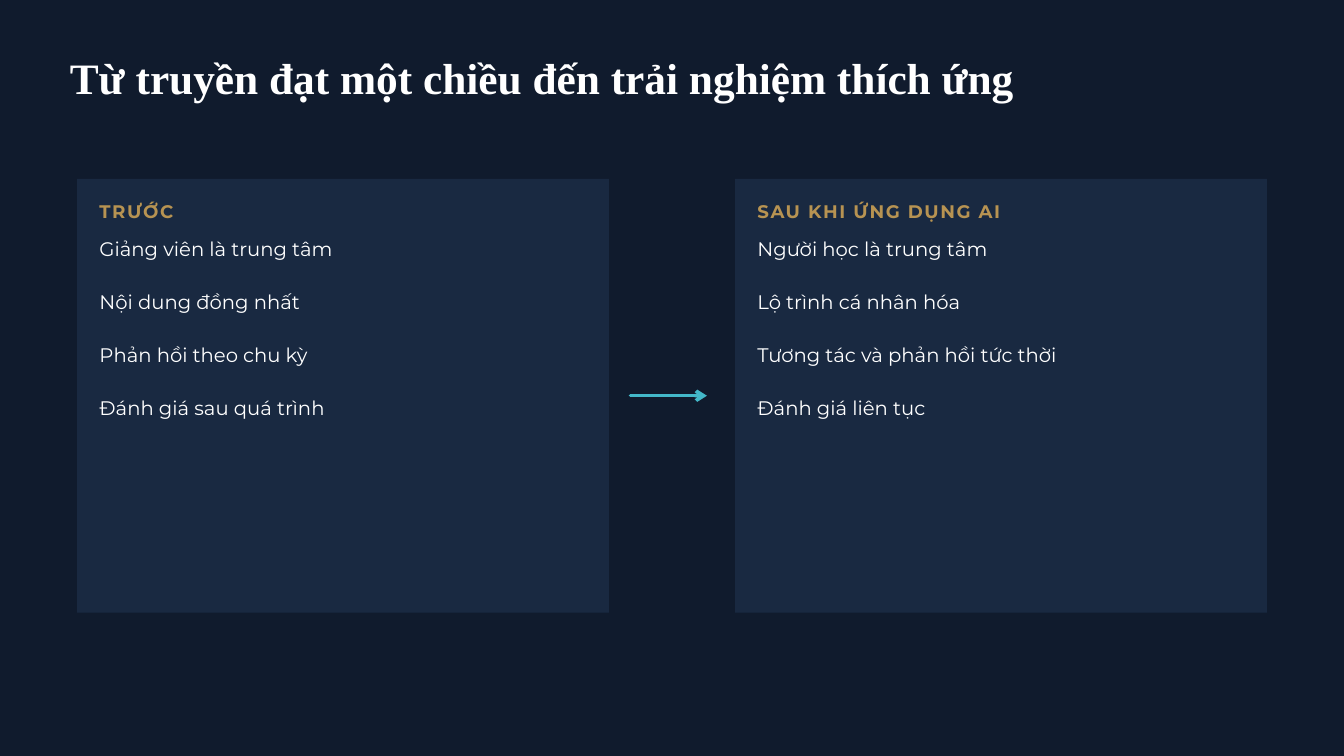
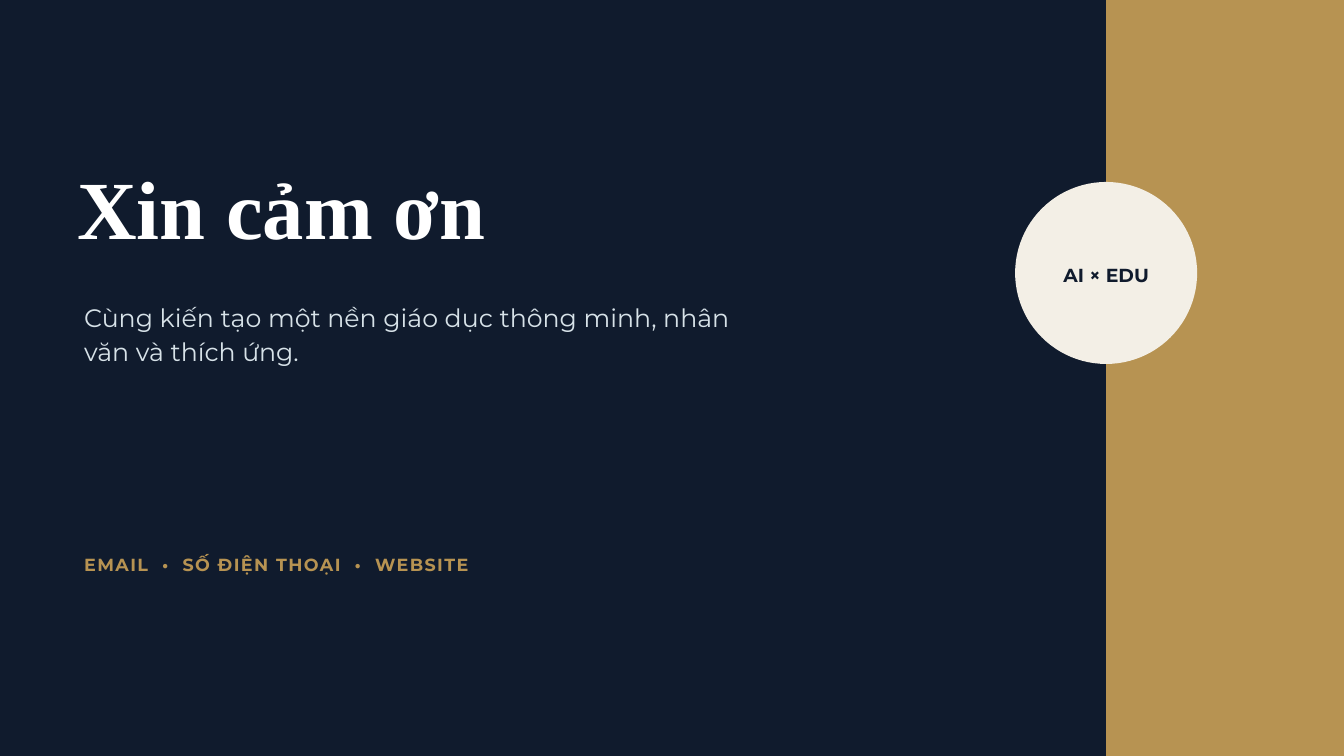
from pptx import Presentation
from pptx.dml.color import RGBColor
from pptx.enum.shapes import MSO_CONNECTOR, MSO_SHAPE
from pptx.enum.text import MSO_ANCHOR, MSO_AUTO_SIZE, PP_ALIGN
from pptx.oxml.ns import qn
from pptx.util import Cm, Pt
from lxml import etree

RECTANGLE, OVAL = MSO_SHAPE.RECTANGLE, MSO_SHAPE.OVAL
STRAIGHT = MSO_CONNECTOR.STRAIGHT
GROW = MSO_AUTO_SIZE.SHAPE_TO_FIT_TEXT
MIDDLE, CENTER = MSO_ANCHOR.MIDDLE, PP_ALIGN.CENTER

NAVY = RGBColor(0x10, 0x1B, 0x2D)
PANEL = RGBColor(0x19, 0x29, 0x41)
GOLD = RGBColor(0xB7, 0x93, 0x52)
CREAM = RGBColor(0xF3, 0xEF, 0xE6)
TEAL = RGBColor(0x43, 0xB8, 0xC9)
MIST = RGBColor(0xD7, 0xE2, 0xE8)
WHITE = RGBColor(0xFF, 0xFF, 0xFF)

SERIF, SANS = "Times New Roman", "Montserrat"
WIDTH, HEIGHT = 50.8, 28.58
MARGINS = ("margin_left", "margin_top", "margin_right", "margin_bottom")


def text_style(name, size, color, leading, bold=False, tracking=0, gap=0):
    """Return the format values of one text role, in points."""
    return {
        "font": {"name": name, "size": Pt(size), "bold": bold},
        "color": color,
        "leading": Pt(leading),
        "tracking": tracking,
        "gap": Pt(gap),
    }


STYLES = {
    "title": text_style(SERIF, 46.5, WHITE, 47.4, bold=True),
    "thanks": text_style(SERIF, 88.5, WHITE, 90.3, bold=True),
    "heading": text_style(SANS, 19.5, GOLD, 27.3, bold=True, tracking=1.6),
    "list": text_style(SANS, 21, WHITE, 28.4, gap=28.4),
    "message": text_style(SANS, 27, MIST, 36.5),
    "contact": text_style(SANS, 18.8, GOLD, 26.2, bold=True, tracking=1.5),
    "badge": text_style(SANS, 20.2, NAVY, 28.4, bold=True),
}

PANEL_LEFT, PANEL_TOP, PANEL_PITCH = 2.92, 6.76, 24.87
PANEL_WIDTH, PANEL_HEIGHT = 20.1, 16.4
PANEL_INSET, PANEL_TEXT_WIDTH = 0.84, 18.42
COMPARISON = [
    ("TRƯỚC", [
        "Giảng viên là trung tâm",
        "Nội dung đồng nhất",
        "Phản hồi theo chu kỳ",
        "Đánh giá sau quá trình",
    ]),
    ("SAU KHI ỨNG DỤNG AI", [
        "Người học là trung tâm",
        "Lộ trình cá nhân hóa",
        "Tương tác và phản hồi tức thời",
        "Đánh giá liên tục",
    ]),
]


class Deck:
    """Holds the presentation, its style and the current slide."""

    def __init__(self):
        self.presentation = Presentation()
        self.presentation.slide_width = Cm(WIDTH)
        self.presentation.slide_height = Cm(HEIGHT)
        self.slide = None

    def new_slide(self):
        """Start a slide on the navy background."""
        blank = self.presentation.slide_layouts[6]
        self.slide = self.presentation.slides.add_slide(blank)
        fill = self.slide.background.fill
        fill.solid()
        fill.fore_color.rgb = NAVY

    def fill_frame(self, frame, lines, role, margin=0, **frame_format):
        """Fill a text frame with one paragraph per line."""
        style = STYLES[role]
        frame_format.update(dict.fromkeys(MARGINS, Cm(margin)), word_wrap=True)
        for key, value in frame_format.items():
            setattr(frame, key, value)
        for index, line in enumerate(lines):
            paragraph = frame.add_paragraph() if index else frame.paragraphs[0]
            paragraph.line_spacing = style["leading"]
            if index:
                paragraph.space_before = style["gap"]
            run = paragraph.add_run()
            run.text = line
            for key, value in style["font"].items():
                setattr(run.font, key, value)
            run.font.color.rgb = style["color"]
            if style["tracking"]:
                run._r.get_or_add_rPr().set("spc", str(round(style["tracking"] * 100)))

    def text(self, role, lines, left, top, width, height):
        """Add a text box that grows with its text."""
        box = self.slide.shapes.add_textbox(Cm(left), Cm(top), Cm(width), Cm(height))
        self.fill_frame(box.text_frame, lines, role, auto_size=GROW)

    def shape(self, preset, color, left, top, width, height):
        """Add a flat filled shape without outline."""
        shape = self.slide.shapes.add_shape(
            preset, Cm(left), Cm(top), Cm(width), Cm(height))
        shape.shadow.inherit = False
        shape.fill.solid()
        shape.fill.fore_color.rgb = color
        shape.line.fill.background()
        return shape

    def badge(self, label, left, top, diameter):
        """Add a round badge with a centred label."""
        circle = self.shape(OVAL, CREAM, left, top, diameter, diameter)
        frame = circle.text_frame
        self.fill_frame(frame, [label], "badge", margin=0.15, vertical_anchor=MIDDLE)
        frame.paragraphs[0].alignment = CENTER

    def arrow(self, start, end, y):
        """Add a horizontal arrow with round ends."""
        arrow = self.slide.shapes.add_connector(
            STRAIGHT, Cm(start), Cm(y), Cm(end), Cm(y))
        arrow.line.color.rgb = TEAL
        arrow.line.width = Pt(3.75)
        outline = arrow.get_or_add_ln()
        outline.set("cap", "rnd")
        etree.SubElement(outline, qn("a:round"))
        etree.SubElement(outline, qn("a:tailEnd"), type="arrow")
        etree.SubElement(arrow._element.spPr, qn("a:effectLst"))

    def panel(self, heading, points, left):
        """Add one side of the comparison."""
        self.shape(RECTANGLE, PANEL, left, PANEL_TOP, PANEL_WIDTH, PANEL_HEIGHT)
        text_left = left + PANEL_INSET
        self.text("heading", [heading], text_left, PANEL_TOP + 0.68, PANEL_TEXT_WIDTH, 0.91)
        self.text("list", points, text_left, PANEL_TOP + 2.1, PANEL_TEXT_WIDTH, 6.81)


def build_comparison(deck):
    """Build the before and after slide."""
    deck.new_slide()
    deck.text("title", ["Từ truyền đạt một chiều đến trải nghiệm thích ứng"],
              2.64, 2.24, 45.52, 1.75)
    for column, (heading, points) in enumerate(COMPARISON):
        deck.panel(heading, points, PANEL_LEFT + column * PANEL_PITCH)
    deck.arrow(23.83, 26.72, PANEL_TOP + PANEL_HEIGHT / 2)


def build_closing(deck):
    """Build the thank-you slide."""
    band_left, diameter = 41.81, 6.88
    deck.new_slide()
    deck.shape(RECTANGLE, GOLD, band_left, 0, WIDTH - band_left, HEIGHT)
    deck.badge("AI × EDU", band_left - diameter / 2, 6.88, diameter)
    deck.text("thanks", ["Xin cảm ơn"], 2.92, 6.5, 27.79, 3.3)
    deck.text("message",
              ["Cùng kiến tạo một nền giáo dục thông minh, nhân văn và thích ứng."],
              3.18, 11.28, 25.93, 2.51)
    deck.text("contact", ["EMAIL  •  SỐ ĐIỆN THOẠI  •  WEBSITE"],
              3.18, 20.8, 27.79, 0.89)


def main():
    """Build and save the slides."""
    deck = Deck()
    build_comparison(deck)
    build_closing(deck)
    deck.presentation.save("out.pptx")


if __name__ == "__main__":
    main()
